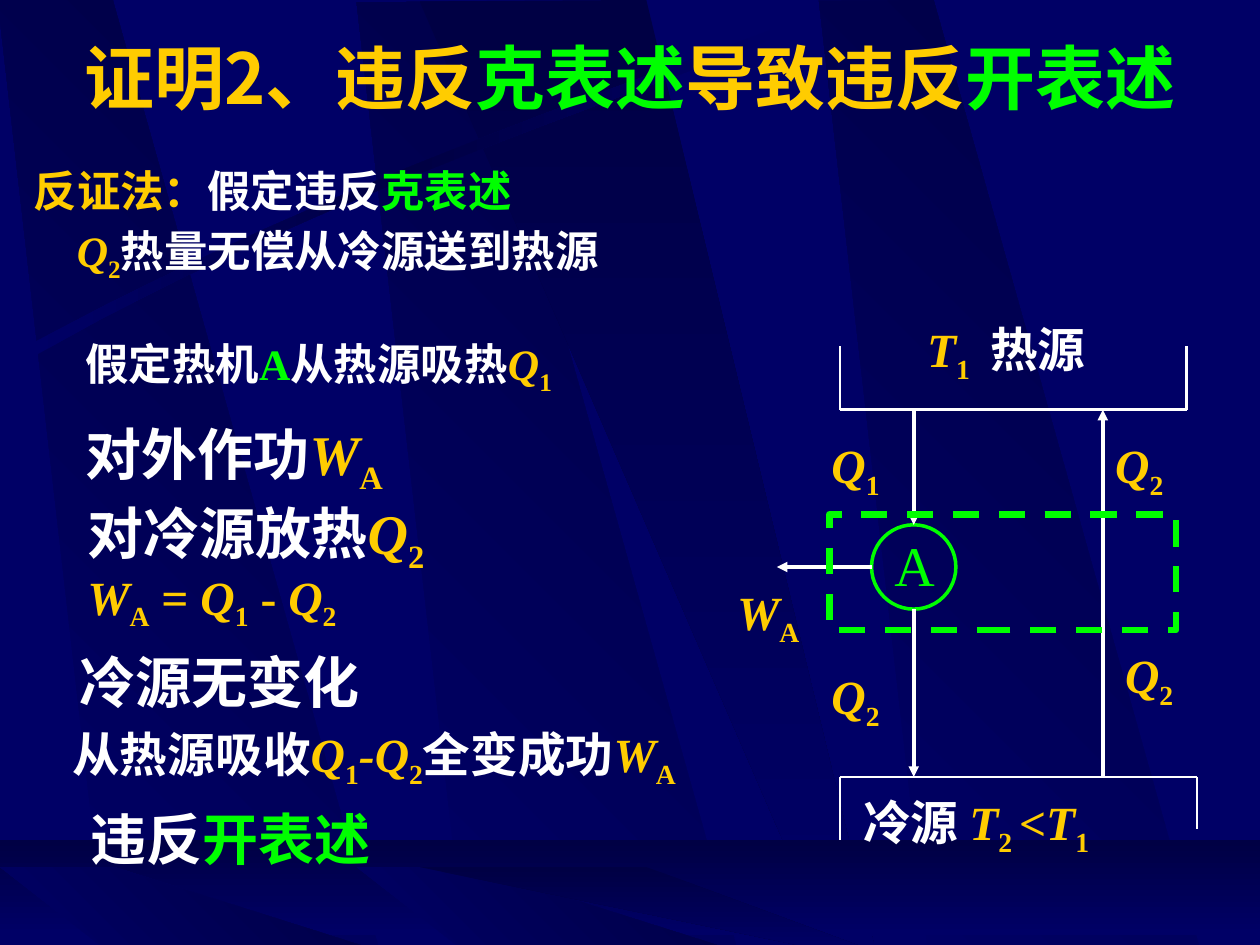
from copy import deepcopy

from lxml import etree
from pptx import Presentation
from pptx.dml.color import RGBColor
from pptx.enum.dml import MSO_LINE
from pptx.enum.shapes import MSO_CONNECTOR, MSO_SHAPE
from pptx.enum.text import MSO_ANCHOR, PP_ALIGN
from pptx.oxml.ns import qn
from pptx.util import Cm, Pt

STRAIGHT = MSO_CONNECTOR.STRAIGHT
RECTANGLE, OVAL = MSO_SHAPE.RECTANGLE, MSO_SHAPE.OVAL
DASH = MSO_LINE.DASH
CENTER, LEFT = PP_ALIGN.CENTER, PP_ALIGN.LEFT
TOP, MIDDLE = MSO_ANCHOR.TOP, MSO_ANCHOR.MIDDLE

NAVY, DARK, WHITE, GOLD, GREEN = "000066", "000044", "FFFFFF", "FFCC00", "00FF00"
SERIF, CHINESE = "Times New Roman", "Noto Sans CJK SC"
STYLES = {
    "white": (WHITE, {"bold": True, "italic": False}),
    "gold": (GOLD, {"bold": True, "italic": False}),
    "green": (GREEN, {"bold": True, "italic": False}),
    "light": (GREEN, {"bold": False, "italic": False}),
    "symbol": (GOLD, {"bold": True, "italic": True}),
    "index": (GOLD, {"bold": True, "italic": False}),
}


def color(value):
    """Turn a hex string into a colour."""
    return RGBColor.from_string(value)


def symbol(name, index):
    """Return the spans of a variable with its subscript."""
    return [(name, "symbol"), (index, "index")]


def curve(start, first, second, end, steps=12):
    """Return points along a cubic curve."""
    points = []
    for step in range(steps + 1):
        t = step / steps
        weights = ((1 - t) ** 3, 3 * t * (1 - t) ** 2, 3 * t * t * (1 - t), t ** 3)
        corners = (start, first, second, end)
        points.append(tuple(sum(w * c[axis] for w, c in zip(weights, corners)) for axis in (0, 1)))
    return points


class Slide:
    """Hold the style and the current slide."""

    def __init__(self, deck):
        """Add a title-only page with a navy background."""
        self.page = deck.slides.add_slide(deck.slide_layouts[5])
        self.shapes = self.page.shapes
        fill = self.page.background.fill
        fill.solid()
        fill.fore_color.rgb = color(NAVY)

    def shade(self, shape, colors, angle):
        """Fill a shape with evenly spaced gradient colours."""
        shape.shadow.inherit = False
        shape.line.fill.background()
        shape.fill.gradient()
        shape.fill.gradient_angle = angle
        stop_list = shape.element.spPr.find(".//" + qn("a:gsLst"))
        while len(stop_list) < len(colors):
            stop_list.append(deepcopy(stop_list[0]))
        for number, (stop, value) in enumerate(zip(shape.fill.gradient_stops, colors)):
            stop.position = number / (len(colors) - 1)
            stop.color.rgb = color(value)

    def polygon(self, points, colors, angle, shift=(0, 0)):
        """Draw a closed gradient outline."""
        corners = [(Cm(x + shift[0]), Cm(y + shift[1])) for x, y in points]
        builder = self.shapes.build_freeform(*corners[0])
        builder.add_line_segments(corners[1:], close=True)
        self.shade(builder.convert_to_shape(), colors, angle)

    def floor(self, *frame):
        """Draw the gradient strip at the foot of the page."""
        shape = self.shapes.add_shape(RECTANGLE, *map(Cm, frame))
        self.shade(shape, (DARK, NAVY), 270)

    def outline(self, kind, frame, width, dash=None):
        """Draw an unfilled green shape."""
        shape = self.shapes.add_shape(kind, *map(Cm, frame))
        shape.shadow.inherit = False
        shape.fill.background()
        shape.line.color.rgb = color(GREEN)
        shape.line.width = Pt(width)
        shape.line.dash_style = dash

    def line(self, start, end, width=1.5, arrow=False):
        """Draw a white line, with an arrowhead at its end if asked."""
        connector = self.shapes.add_connector(STRAIGHT, *map(Cm, start + end))
        connector.line.color.rgb = color(WHITE)
        connector.line.width = Pt(width)
        properties = connector.element.spPr
        if arrow:
            etree.SubElement(properties.find(qn("a:ln")), qn("a:tailEnd"), type="triangle")
        etree.SubElement(properties, qn("a:effectLst"))

    def add_spans(self, paragraph, spans, size, latin=SERIF):
        """Add styled spans to a paragraph."""
        for content, style in spans:
            span = paragraph.add_run()
            span.text = content
            value, formats = STYLES[style]
            span.font.color.rgb = color(value)
            for name, setting in {"size": Pt(size), "name": latin, **formats}.items():
                setattr(span.font, name, setting)
            properties = span._r.get_or_add_rPr()
            etree.SubElement(properties, qn("a:ea"), typeface=CHINESE)
            if style == "index":
                properties.set("baseline", "-25000")

    def title(self, frame, spans):
        """Move the title to the front and format it."""
        box = self.shapes.title
        box.element.getparent().append(box.element)
        for name, length in zip(("left", "top", "width", "height"), frame):
            setattr(box, name, Cm(length))
        box.text_frame.vertical_anchor = MIDDLE
        paragraph = box.text_frame.paragraphs[0]
        paragraph.alignment = CENTER
        paragraph.line_spacing = 0.82
        self.add_spans(paragraph, spans, 40, CHINESE)

    def text(self, frame, *lines, size=27.2, spacing=0.9, indents=(0,), tab=None, align=LEFT, wrap=True):
        """Add a text box with one paragraph for each line."""
        box = self.shapes.add_textbox(*map(Cm, frame)).text_frame
        box.word_wrap = wrap
        box.vertical_anchor = TOP
        for number, (spans, indent) in enumerate(zip(lines, indents)):
            paragraph = box.add_paragraph() if number else box.paragraphs[0]
            paragraph.alignment = align
            paragraph.line_spacing = spacing
            paragraph.space_before = Pt(8 if number else 0)
            properties = paragraph._p.get_or_add_pPr()
            properties.set("marL", str(Cm(indent)))
            properties.set("indent", "0")
            if tab:
                tabs = etree.SubElement(properties, qn("a:tabLst"))
                etree.SubElement(tabs, qn("a:tab"), pos=str(Cm(tab)), algn="l")
            self.add_spans(paragraph, spans, size)


def draw_backdrop(slide):
    """Draw the beams, the arc and the floor."""
    beam = [(9.37, 19.08), (14.86, 19.13), (9.5, 0.03), (7.19, 0.05)]
    for shift in ((0, 0), (-7.24, -0.08), (9.32, -0.03)):
        slide.polygon(beam, (NAVY, DARK), 45, shift)
    slide.polygon([(8.46, 0.03), (16.71, 19.08), (17.63, 19.08), (13.03, 0)], (DARK, NAVY), 270)
    arc = curve((0.51, 6.99), (7.21, 3.4), (13.31, 1.5), (15.9, 0.46))
    arc += curve((15.98, 0.61), (13.41, 1.75), (6.45, 3.84), (0.58, 7.24))
    slide.polygon(arc, (NAVY, DARK, NAVY), 0)
    slide.floor(0, 16.94, 25.4, 1.91)
    reflection = [(9.37, 19.18), (14.86, 19.18), (9.5, 17.48), (7.19, 17.48)]
    for shift in ((0, 0), (-7.19, 0)):
        slide.polygon(reflection, (NAVY, DARK), 45, shift)
    slide.polygon([(8.46, 17.48), (16.71, 19.18), (17.63, 19.18), (13.03, 17.48)], (DARK, NAVY), 270)


def draw_proof(slide):
    """Set the title and the steps of the proof."""
    q1, q2, work = symbol("Q", "1"), symbol("Q", "2"), symbol("W", "A")
    slide.title((1.27, -0.13, 22.86, 3.63), [("证明2、违反", "gold"), ("克表述", "green"),
                                             ("导致违反", "gold"), ("开表述", "green")])
    slide.text((1.27, 11.33, 7.82, 1.7), work + [(" = ", "gold")] + q1 + [(" - ", "gold")] + q2, indents=(0.24,))
    slide.text((0.43, 3.38, 15.67, 2.74),
               [("反证法：", "gold"), ("假定违反", "white"), ("克表述", "green")],
               q2 + [("热量无偿从冷源送到热源", "white")], size=24.8, spacing=0.8, indents=(0, 0.87))
    slide.text((1.47, 6.78, 13.34, 1.47),
               [("假定热机", "white"), ("A", "green"), ("从热源吸热", "white")] + q1, size=24.8, spacing=0.8)
    slide.text((1.07, 12.93, 6.55, 1.7), [("冷源无变化", "white")], size=32, spacing=1, indents=(0.28,))
    slide.text((0.97, 14.5, 15.44, 1.7),
               [("从热源吸收", "white")] + q1 + symbol("-Q", "2") + [("全变成功", "white")] + work, indents=(0.24,))
    slide.text((1.3, 16.1, 6.99, 1.7), [("违反", "white"), ("开表述", "green")], size=32, spacing=1, indents=(0.28,))
    slide.text((1.47, 8.33, 6.78, 1.8), [("对外作功", "white")] + work, size=32, spacing=1)
    slide.text((1.37, 9.93, 7.57, 1.8), [("对冷源放热", "white")] + q2, size=32, spacing=1, align=CENTER, wrap=False)


def draw_engine(slide):
    """Draw the two reservoirs and the engine between them."""
    left, hot, cold = 16.93, 8.26, 15.66
    for right, level, left_end, right_end in ((23.92, hot, 6.98, 6.98), (24.13, cold, 16.93, 16.72)):
        slide.line((left, level), (left, left_end))
        slide.line((left, level), (right, level))
        slide.line((right, level), (right, right_end))
    slide.text((18.2, 6.35, 5.08, 1.7), symbol("T", "1") + [("\t热源", "white")], indents=(0.24,), tab=1.8)
    slide.text((17.15, 15.88, 6.55, 1.7),
               [("冷源 ", "white")] + symbol("T", "2 ") + [("<", "gold")] + symbol("T", "1"))
    slide.text((17.78, 10.58, 1.27, 1.7), [("A", "light")], size=32, spacing=1)
    slide.outline(OVAL, (17.57, 10.58, 1.7, 1.7), 2)
    for start, end in (((18.42, hot), (18.42, 10.58)), ((22.23, cold), (22.23, hot)),
                       ((18.42, 12.28), (18.42, cold)), ((17.57, 11.43), (15.66, 11.43))):
        slide.line(start, end, 2, arrow=True)
    for x, y, name, index in ((22.43, 12.91, "Q", "2"), (22.23, 8.68, "Q", "2"), (14.61, 11.64, "W", "A"),
                              (16.51, 8.68, "Q", "1"), (16.51, 13.34, "Q", "2")):
        slide.text((x, y, 2.12, 1.7), symbol(name, index))
    slide.outline(RECTANGLE, (16.72, 10.37, 6.99, 2.33), 3.75, DASH)


def main():
    """Build the deck and save it."""
    deck = Presentation()
    deck.slide_width, deck.slide_height = Cm(25.4), Cm(19.05)
    slide = Slide(deck)
    draw_backdrop(slide)
    draw_proof(slide)
    draw_engine(slide)
    deck.save("out.pptx")


if __name__ == "__main__":
    main()
